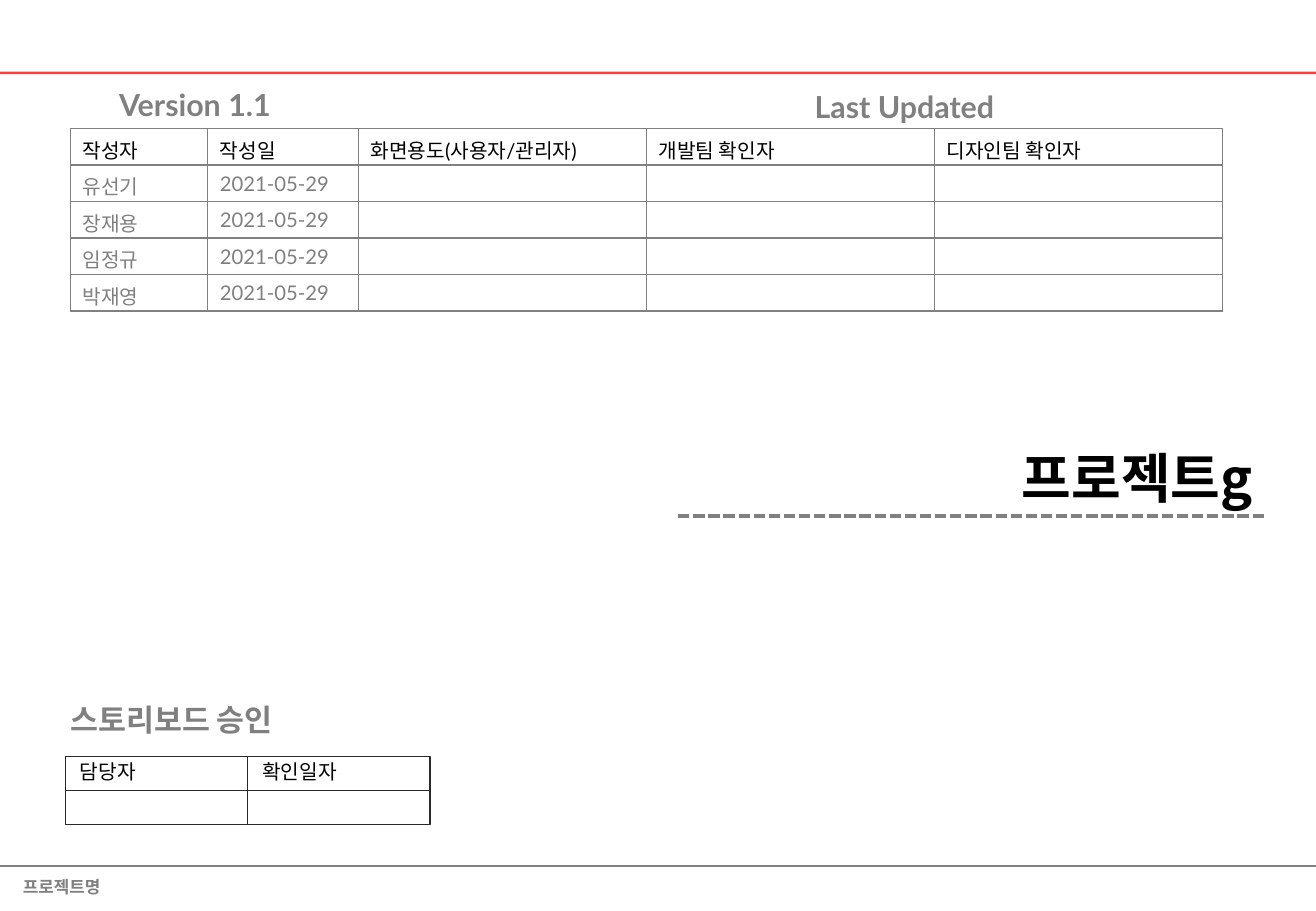
from lxml.etree import SubElement
from pptx import Presentation
from pptx.dml.color import RGBColor
from pptx.enum.dml import MSO_LINE
from pptx.enum.shapes import MSO_CONNECTOR, MSO_SHAPE
from pptx.enum.text import MSO_ANCHOR, PP_ALIGN
from pptx.oxml.ns import qn
from pptx.util import Inches, Pt

COLORS = {"red": "FF0000", "gray": "808080", "ink": "000000", "box": "292929"}
LATIN, KOREAN = "Lato", "Noto Sans CJK KR"
COLUMNS, ROWS = 108.3, 75  # ten grid units to the inch

HISTORY_WIDTHS = [11.3, 12.4, 23.7, 23.7, 23.7]
HISTORY_HEADER = ["작성자", "작성일", "화면용도(사용자/관리자)", "개발팀 확인자", "디자인팀 확인자"]
AUTHORS = ["유선기", "장재용", "임정규", "박재영"]
WRITTEN_ON = "2021-05-29"


def grid(units):
    return Inches(units / 10)


def color(name):
    return RGBColor.from_string(COLORS[name])


def write(paragraph, words, size, tint, font=LATIN, bold=False):
    run = paragraph.add_run()
    run.text = words
    run.font.name = font
    run.font.size = Pt(size)
    run.font.bold = bold
    run.font.color.rgb = color(tint)
    SubElement(run.font._element, qn("a:ea"), typeface=KOREAN)


def add_label(slide, area, words, size, tint, font=LATIN, bold=True,
              align=PP_ALIGN.LEFT, anchor=MSO_ANCHOR.TOP, wrap=True, indent=0):
    frame = slide.shapes.add_textbox(*map(grid, area)).text_frame
    frame.word_wrap = wrap
    frame.vertical_anchor = anchor
    frame.margin_left = grid(1 + indent)
    paragraph = frame.paragraphs[0]
    paragraph.alignment = align
    write(paragraph, words, size, tint, font, bold)


def add_rule(slide, left, right, row, tint, width, dash=None, opacity=None):
    rule = slide.shapes.add_connector(
        MSO_CONNECTOR.STRAIGHT, grid(left), grid(row), grid(right), grid(row))
    rule.line.color.rgb = color(tint)
    rule.line.width = Pt(width)
    if dash:
        rule.line.dash_style = dash
    properties = rule._element.spPr
    if opacity:
        tone = properties.find(".//" + qn("a:srgbClr"))
        SubElement(tone, qn("a:alpha"), val=str(opacity * 1000))
    SubElement(properties, qn("a:effectLst"))


def add_borders(cell, tint, width):
    properties = cell._tc.get_or_add_tcPr()
    for position, side in enumerate(("lnL", "lnR", "lnT", "lnB")):
        border = SubElement(properties, qn("a:" + side), w=str(Pt(width)))
        properties.insert(position, border)
        fill = SubElement(border, qn("a:solidFill"))
        SubElement(fill, qn("a:srgbClr"), val=COLORS[tint])


def add_history(slide, left, top, row_height):
    entries = [HISTORY_HEADER]
    entries += [[author, WRITTEN_ON, "", "", ""] for author in AUTHORS]
    history = slide.shapes.add_table(
        len(entries), len(HISTORY_WIDTHS), grid(left), grid(top),
        grid(sum(HISTORY_WIDTHS)), grid(row_height * len(entries))).table
    history.first_row = history.horz_banding = False
    for column, width in zip(history.columns, HISTORY_WIDTHS):
        column.width = grid(width)
    for r, entry in enumerate(entries):
        history.rows[r].height = grid(row_height)
        for c, words in enumerate(entry):
            cell = history.cell(r, c)
            cell.margin_bottom = 0
            cell.fill.background()
            add_borders(cell, "gray", 1)
            paragraph = cell.text_frame.paragraphs[0]
            if words:
                write(paragraph, words, 12, "gray" if r else "ink")
            else:
                # Keeps empty cells as low as the filled ones
                SubElement(paragraph._p, qn("a:endParaRPr"), sz="1200")


def add_approval(slide, left, top, width, height):
    for c, heading in enumerate(["담당자", "확인일자"]):
        x = left + c * width
        for r in range(2):
            box = slide.shapes.add_shape(
                MSO_SHAPE.RECTANGLE,
                *map(grid, (x, top + r * height, width, height)))
            box.shadow.inherit = False
            box.fill.background()
            box.line.color.rgb = color("box")
            box.line.width = Pt(0.75)
        add_label(slide, (x + 0.2, top - 0.3, 8.6, 3), heading, 12, "ink",
                  KOREAN, bold=False)


def main():
    deck = Presentation()
    deck.slide_width, deck.slide_height = grid(COLUMNS), grid(ROWS)
    slide = deck.slides.add_slide(deck.slide_layouts[6])

    # Page frame
    add_rule(slide, 0, COLUMNS, 6, "red", 1.5, opacity=76)
    add_rule(slide, 0, COLUMNS, 71.3, "gray", 0.75)
    add_label(slide, (0.9, 71.7, 8.9, 2.7), "프로젝트명", 10, "gray", KOREAN, wrap=False)

    # Version history
    add_label(slide, (5.8, 6.6, 21.1, 4), "Version 1.1", 18, "gray", indent=3)
    add_label(slide, (63.6, 6.8, 19.2, 4), "Last Updated", 18, "gray",
              align=PP_ALIGN.RIGHT)
    add_history(slide, 5.8, 10.6, 3)

    # Project title
    add_rule(slide, 55.8, 104.1, 42.5, "gray", 2.25, dash=MSO_LINE.SQUARE_DOT)
    add_label(slide, (42.3, 35.7, 61.8, 7.1), "프로젝트g", 32, "ink", KOREAN,
              align=PP_ALIGN.RIGHT, anchor=MSO_ANCHOR.MIDDLE)

    # Storyboard approval
    add_label(slide, (4.8, 57.2, 21.2, 4), "스토리보드 승인", 18, "gray")
    add_approval(slide, 5.4, 62.3, 15, 2.8)

    deck.save("out.pptx")


if __name__ == "__main__":
    main()
